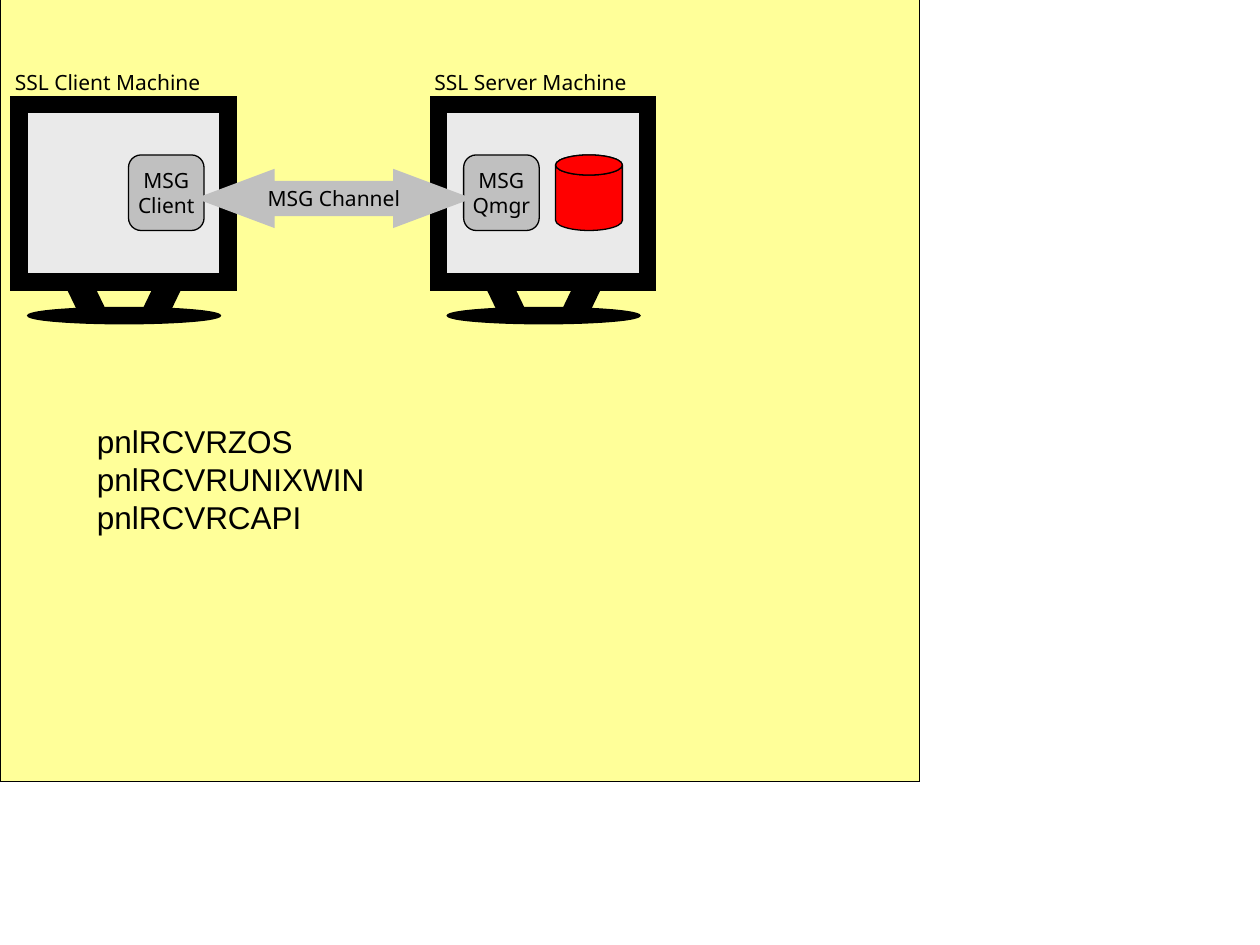
from lxml import etree
from pptx import Presentation
from pptx.dml.color import RGBColor
from pptx.enum.shapes import MSO_CONNECTOR, MSO_SHAPE as Shape
from pptx.enum.text import MSO_ANCHOR as Anchor, PP_ALIGN as Align
from pptx.oxml.ns import qn
from pptx.util import Inches, Pt

COLORS = {
    "ink": "000000",
    "panel": "FFFF99",
    "screen": "EAEAEA",
    "node": "C0C0C0",
    "store": "FF0000",
}


class Diagram:
    """Holds the style and the slide being drawn; lengths are in inches."""

    label_font, note_font = "Noto Sans", "Arial"
    label_size, note_size = 12, 18

    def __init__(self, slide, colors):
        self.shapes = slide.shapes
        self.colors = colors

    def color(self, name):
        return RGBColor.from_string(self.colors[name])

    def set_lines(self, frame, lines, font, size, align=Align.LEFT):
        for index, line in enumerate(lines):
            para = frame.paragraphs[0] if index == 0 else frame.add_paragraph()
            para.text = line
            para.alignment = align
            para.font.name = font
            para.font.size = Pt(size)
            para.font.color.rgb = self.color("ink")

    def shape(self, kind, left, top, width, height, fill,
              line="ink", weight=0.75, lines=()):
        box = self.shapes.add_shape(
            kind, Inches(left), Inches(top), Inches(width), Inches(height))
        box.shadow.inherit = False
        box.fill.solid()
        box.fill.fore_color.rgb = self.color(fill)
        box.line.color.rgb = self.color(line)
        box.line.width = Pt(weight)
        outline = box._element.spPr.find(qn("a:ln"))
        etree.SubElement(outline, qn("a:miter")).set("lim", "800000")
        if lines:
            frame = box.text_frame
            frame.word_wrap = False
            frame.vertical_anchor = Anchor.MIDDLE
            self.set_lines(frame, lines, self.label_font, self.label_size, Align.CENTER)
        return box

    def text(self, left, top, width, height, lines, font, size, wrap=True):
        frame = self.shapes.add_textbox(
            Inches(left), Inches(top), Inches(width), Inches(height)).text_frame
        frame.word_wrap = wrap
        self.set_lines(frame, lines, font, size)

    def label(self, left, top, text):
        self.text(left, top, 2.2, 0.3, [text], self.label_font, self.label_size)

    def note(self, left, top, lines):
        self.text(left, top, 2.33, 1.6, lines, self.note_font, self.note_size, wrap=False)

    def leg(self, start_x, start_y, end_x, end_y):
        leg = self.shapes.add_connector(
            MSO_CONNECTOR.STRAIGHT,
            Inches(start_x), Inches(start_y), Inches(end_x), Inches(end_y))
        leg.line.color.rgb = self.color("ink")
        leg.line.width = Pt(15)
        etree.SubElement(leg._element.spPr, qn("a:effectLst"))

    def monitor(self, left, top):
        """Draws a screen on two slanted legs and an oval foot."""
        width, height, drop, slant = 1.66, 1.41, 0.27, 0.13
        bottom = top + height
        self.shape(Shape.RECTANGLE, left, top, width, height, "screen", weight=10)
        self.shape(Shape.OVAL, left + 0.07, bottom + 0.2, 1.53, 0.13, "ink")
        self.leg(left + 0.47, bottom, left + 0.47 + slant, bottom + drop)
        self.leg(left + 1.2, bottom, left + 1.2 - slant, bottom + drop)

    def node(self, left, top, lines):
        self.shape(Shape.ROUNDED_RECTANGLE, left, top, 0.6, 0.6, "node", lines=lines)

    def store(self, left, top):
        """Draws a cylinder with a lid in the same flat colour."""
        width, height, lid = 0.53, 0.6, 0.16
        can = self.shape(Shape.CAN, left, top, width, height, "store")
        can.adjustments[0] = lid / width
        self.shape(Shape.OVAL, left, top, width, lid, "store")

    def channel(self, left, top, width, height, text):
        arrow = self.shape(Shape.LEFT_RIGHT_ARROW, left, top, width, height,
                           "node", line="node", weight=10, lines=[text])
        arrow.adjustments[0] = 0.52
        arrow.adjustments[1] = 0.36 / height


def main():
    deck = Presentation()
    deck.slide_width, deck.slide_height = Inches(10), Inches(7.5)
    diagram = Diagram(deck.slides.add_slide(deck.slide_layouts[6]), COLORS)

    client_left, server_left = 0.15, 3.48
    monitor_top, node_top = 0.83, 1.23

    diagram.shape(Shape.RECTANGLE, 0, -0.01, 7.3, 6.21, "panel")
    diagram.monitor(client_left, monitor_top)
    diagram.node(1.02, node_top, ["MSG", "Client"])
    diagram.monitor(server_left, monitor_top)
    diagram.store(4.41, node_top)
    diagram.node(3.68, node_top, ["MSG", "Qmgr"])
    for left, role in ((client_left, "Client"), (server_left, "Server")):
        diagram.label(left - 0.13, 0.5, f"SSL {role} Machine")
    diagram.channel(1.75, 1.44, 1.8, 0.27, "MSG Channel")
    diagram.note(0.67, 3.3, ["pnlRCVRZOS", "pnlRCVRUNIXWIN", "pnlRCVRCAPI"])

    deck.save("out.pptx")


if __name__ == "__main__":
    main()
